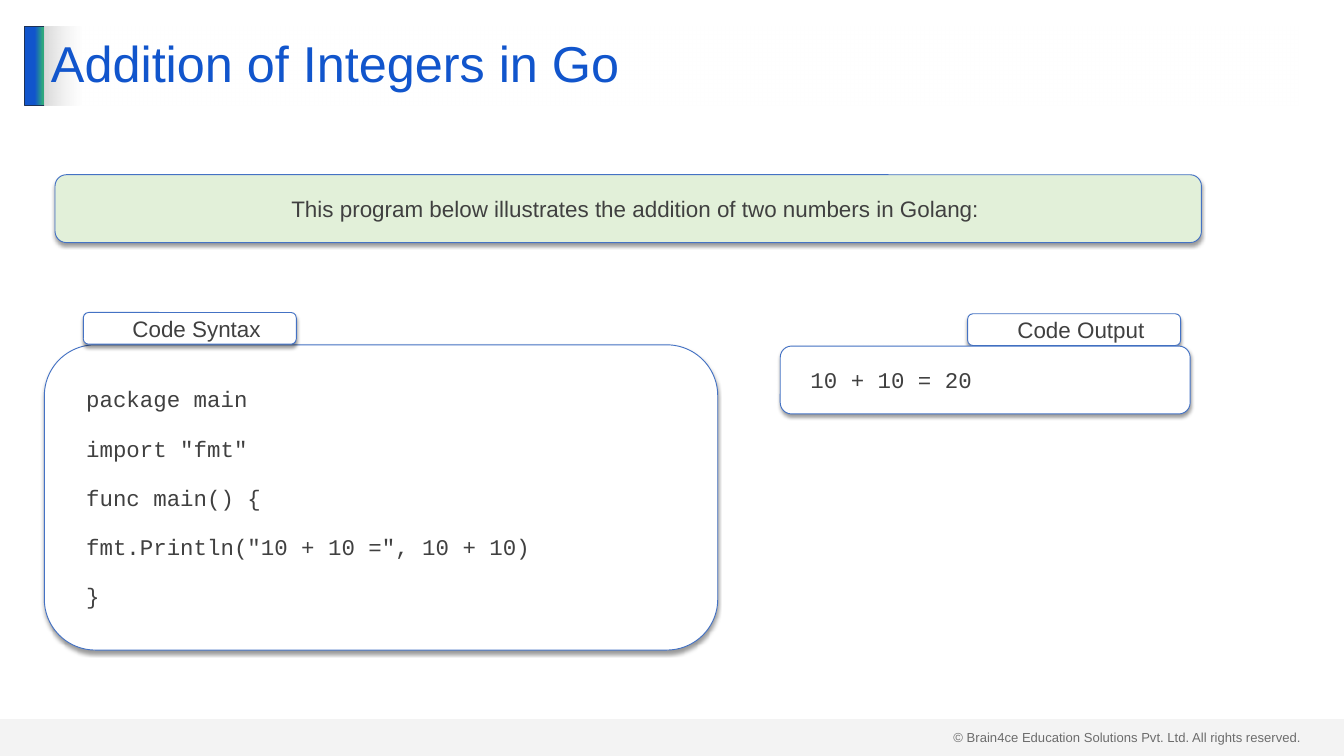
from lxml import etree
from pptx import Presentation
from pptx import util as u
from pptx.dml.color import RGBColor
from pptx.enum import shapes, text
from pptx.oxml import ns

BLUE = RGBColor(0x11, 0x55, 0xCC)
GREEN = RGBColor(0x2E, 0xA8, 0x7D)
NAVY = RGBColor(0x1E, 0x32, 0x56)
OUTLINE = RGBColor(0x44, 0x72, 0xC4)
INK = RGBColor(0x40, 0x40, 0x40)
GRAY = RGBColor(0xD9, 0xD9, 0xD9)
PALE_GREEN = RGBColor(0xE2, 0xF0, 0xD9)
WHITE = RGBColor(0xFF, 0xFF, 0xFF)
BLACK = RGBColor(0, 0, 0)

SANS = "Arial"
MONO = "Courier New"
CODE = [
    "package main",
    'import "fmt"',
    "func main() {",
    'fmt.Println("10 + 10 =", 10 + 10)',
    "}",
]


def add_xml(parent, tag, **attributes):
    child = etree.SubElement(parent, ns.qn(tag))
    for name, value in attributes.items():
        child.set(name, str(value))
    return child


def add_color(parent, color, opacity=100):
    element = add_xml(parent, "a:srgbClr", val=color)
    if opacity < 100:
        add_xml(element, "a:alpha", val=opacity * 1000)


class SlideBuilder:
    body_size = 24
    paragraph_gap = 24
    indent = 14.4

    def __init__(self, slide):
        self.slide = slide

    def shape(self, kind, box, line=None):
        shape = self.slide.shapes.add_shape(kind, *map(u.Pt, box))
        shape.shadow.inherit = False
        if line is None:
            shape.line.fill.background()
        else:
            shape.line.color.rgb = line
            shape.line.width = u.Pt(1)
        return shape

    def gradient(self, box, stops, line=None):
        shape = self.shape(shapes.MSO_SHAPE.RECTANGLE, box, line)
        shape.fill.gradient()
        shape.fill.gradient_angle = 0
        stop_list = shape._element.spPr.find(ns.qn("a:gradFill")).find(ns.qn("a:gsLst"))
        for stop in list(stop_list):
            stop_list.remove(stop)
        for position, color, opacity in stops:
            add_color(add_xml(stop_list, "a:gs", pos=position * 1000), color, opacity)
        return shape

    def band(self, box, color, opacity):
        shape = self.shape(shapes.MSO_SHAPE.RECTANGLE, box)
        shape.fill.solid()
        shape.fill.fore_color.rgb = color
        color_element = shape._element.spPr.find(ns.qn("a:solidFill"))[0]
        add_xml(color_element, "a:alpha", val=opacity * 1000)

    def add_words(self, paragraph, words, font, size, color):
        run = paragraph.add_run()
        run.text = words
        run.font.name = font
        run.font.size = u.Pt(size)
        run.font.color.rgb = color

    def title(self, box, words):
        stops = [(0, GRAY, 100), (3, WHITE, 50)]
        frame = self.gradient(box, stops).text_frame
        frame.vertical_anchor = text.MSO_ANCHOR.MIDDLE
        paragraph = frame.paragraphs[0]
        paragraph.alignment = text.PP_ALIGN.LEFT
        paragraph.line_spacing = 0.9
        self.add_words(paragraph, words, SANS, 54, BLUE)

    def footer(self, box, words):
        frame = self.slide.shapes.add_textbox(*map(u.Pt, box)).text_frame
        self.add_words(frame.paragraphs[0], words, SANS, 14, INK)

    def card(self, box, lines, font=SANS, align=text.PP_ALIGN.CENTER, fill=WHITE):
        shape = self.shape(shapes.MSO_SHAPE.ROUNDED_RECTANGLE, box, OUTLINE)
        shape.fill.solid()
        shape.fill.fore_color.rgb = fill
        effects = shape._element.spPr.find(ns.qn("a:effectLst"))
        shadow = add_xml(effects, "a:outerShdw", blurRad=u.Pt(4), dist=u.Pt(3),
                         dir=90 * 60000, algn="ctr", rotWithShape=0)
        add_color(shadow, BLACK, 40)
        frame = shape.text_frame
        frame.word_wrap = True
        frame.vertical_anchor = text.MSO_ANCHOR.MIDDLE
        frame.margin_left = frame.margin_right = u.Pt(14.4)
        frame.margin_top = frame.margin_bottom = u.Pt(7.2)
        for index, words in enumerate(lines):
            paragraph = frame.add_paragraph() if index else frame.paragraphs[0]
            paragraph.alignment = align
            paragraph.space_before = u.Pt(self.paragraph_gap if index else 0)
            properties = paragraph._p.get_or_add_pPr()
            properties.set("marL", str(u.Pt(self.indent)))
            properties.set("indent", "0")
            self.add_words(paragraph, words, font, self.body_size, INK)


def main():
    presentation = Presentation()
    presentation.slide_width = u.Pt(1440)
    presentation.slide_height = u.Pt(810)
    slide = presentation.slides.add_slide(presentation.slide_layouts[6])
    builder = SlideBuilder(slide)
    left = text.PP_ALIGN.LEFT

    builder.footer((1014.5, 777.6, 389.5, 24.5),
                   "© Brain4ce Education Solutions Pvt. Ltd. All rights reserved.")
    builder.gradient((26.5, 28, 21.5, 85),
                     [(51, BLUE, 100), (90, GREEN, 100), (100, GREEN, 100)], NAVY)
    builder.band((0, 770.4, 1440, 39.6), GRAY, 29)
    builder.title((47.5, 28, 1344, 85), "Addition of Integers in Go")

    builder.card((47.5, 369.5, 721.5, 327), CODE, MONO, left)
    builder.card((89.3, 334.8, 228.2, 34), ["Code Syntax"])
    builder.card((1036.8, 336.2, 228.2, 34), ["Code Output"])
    builder.card((836, 370.8, 439.2, 72.7), ["10 + 10 = 20"], MONO, left)
    builder.card((59, 187.2, 1228.3, 72.7),
                 ["This program below illustrates the addition of two numbers in Golang:"],
                 fill=PALE_GREEN)
    presentation.save("out.pptx")


if __name__ == "__main__":
    main()
